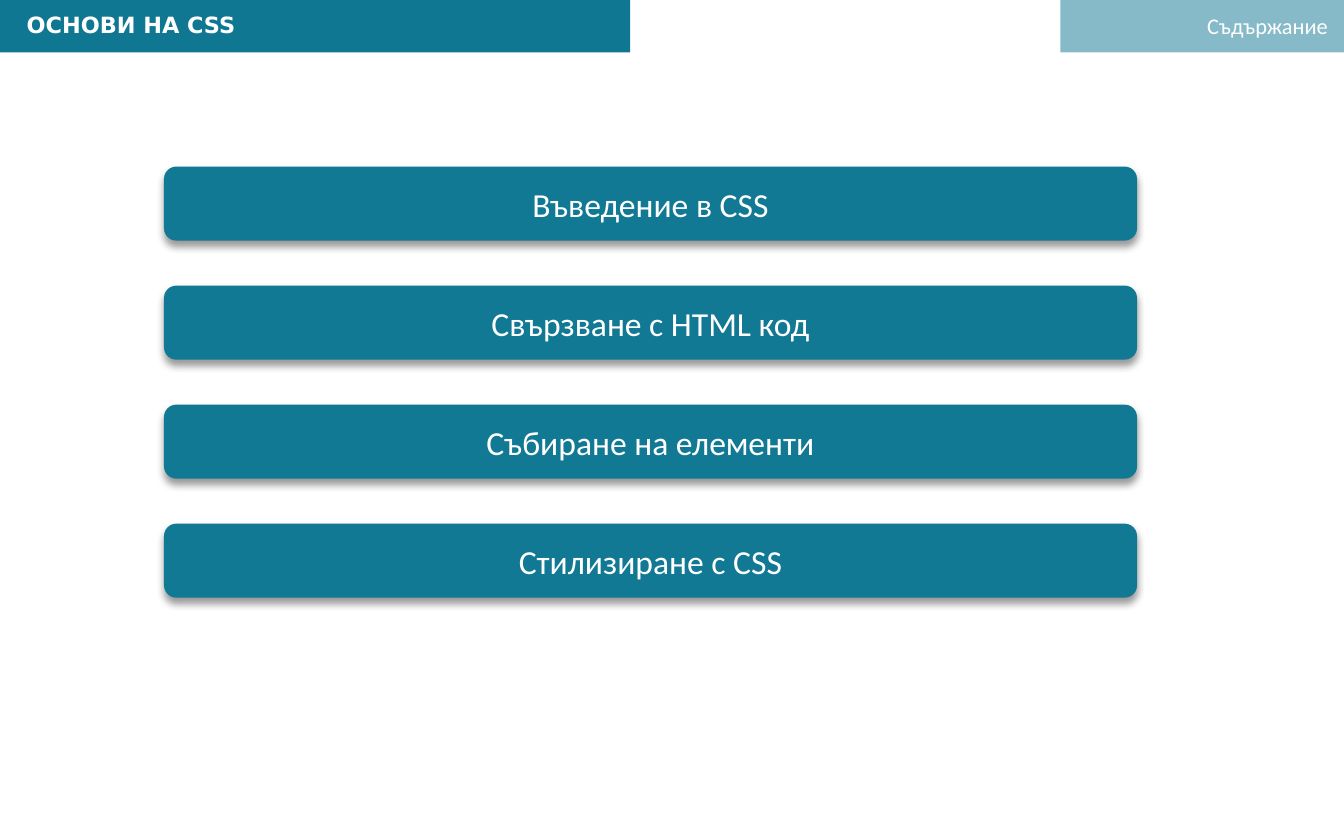
from lxml.etree import SubElement
from pptx import Presentation
from pptx.dml.color import RGBColor
from pptx.enum.shapes import MSO_SHAPE
from pptx.enum.text import MSO_ANCHOR, MSO_AUTO_SIZE, PP_ALIGN
from pptx.oxml.ns import qn
from pptx.util import Cm, Pt

COLORS = {"bar": "0F7792", "button": "127994", "text": "FFFFFF", "shadow": "000000"}
TITLE_FONT = {"name": "DejaVu Sans", "size": Pt(12), "bold": True}
LABEL_FONT = {"name": "Calibri", "size": Pt(12), "bold": False}
BUTTON_FONT = {"name": "Calibri", "size": Pt(18), "bold": False}
TOPICS = [
    "Въведение в CSS",
    "Свързване с HTML код",
    "Събиране на елементи",
    "Стилизиране с CSS",
]


def set_alpha(color_element, percent):
    SubElement(color_element, qn("a:alpha"), val=str(percent * 1000))


def place(shape, left, top, width, height):
    box = {"left": left, "top": top, "width": width, "height": height}
    for name, value in box.items():
        setattr(shape, name, Cm(value))


def add_block(slide, kind, box, color):
    shape = slide.shapes.add_shape(kind, *map(Cm, box))
    shape.shadow.inherit = False
    shape.fill.solid()
    shape.fill.fore_color.rgb = RGBColor.from_string(COLORS[color])
    shape.line.fill.background()
    return shape


def write(shape, text, font_format, **frame_format):
    alignment = frame_format.pop("alignment")
    frame = shape.text_frame
    for name, value in frame_format.items():
        setattr(frame, name, value)
    frame.text = text
    paragraph = frame.paragraphs[0]
    paragraph.alignment = alignment
    font = paragraph.runs[0].font
    for name, value in font_format.items():
        setattr(font, name, value)
    font.color.rgb = RGBColor.from_string(COLORS["text"])


def add_shadow(shape):
    effects = shape._element.spPr.find(qn("a:effectLst"))
    shadow = SubElement(
        effects, qn("a:outerShdw"), blurRad=str(Pt(4)), dist=str(Pt(3)),
        dir=str(90 * 60000), algn="ctr", rotWithShape="0",
    )
    set_alpha(SubElement(shadow, qn("a:srgbClr"), val=COLORS["shadow"]), 40)


def add_section_label(slide, left, top, width, height, text):
    bar = add_block(slide, MSO_SHAPE.RECTANGLE, (left, top, width, height), "bar")
    set_alpha(bar._element.spPr.find(qn("a:solidFill"))[0], 50)
    label_width = 2.82
    label_left = left + width - label_width - 0.05
    label = slide.shapes.add_textbox(*map(Cm, (label_left, top + 0.1, label_width, 0.76)))
    write(label, text, LABEL_FONT, alignment=PP_ALIGN.RIGHT,
          word_wrap=False, auto_size=MSO_AUTO_SIZE.SHAPE_TO_FIT_TEXT)


def add_title_bar(slide, left, top, width, height, text):
    add_block(slide, MSO_SHAPE.RECTANGLE, (left, top, width, height), "bar")
    title = slide.shapes.title
    slide.shapes._spTree.append(title._element)
    place(title, left + 0.25, top + 0.08, width - 0.45, 0.76)
    write(title, text, TITLE_FONT, alignment=PP_ALIGN.LEFT, word_wrap=True,
          vertical_anchor=MSO_ANCHOR.TOP, auto_size=MSO_AUTO_SIZE.SHAPE_TO_FIT_TEXT)


def add_topic_buttons(slide, left, top, width, height, topics):
    button_height = 1.4
    pitch = (height - button_height) / (len(topics) - 1)
    for index, topic in enumerate(topics):
        box = (left, top + index * pitch, width, button_height)
        button = add_block(slide, MSO_SHAPE.ROUNDED_RECTANGLE, box, "button")
        add_shadow(button)
        write(button, topic, BUTTON_FONT, alignment=PP_ALIGN.CENTER,
              word_wrap=True, vertical_anchor=MSO_ANCHOR.MIDDLE)


def main():
    presentation = Presentation()
    presentation.slide_width = Cm(25.4)
    presentation.slide_height = Cm(15.88)
    slide = presentation.slides.add_slide(presentation.slide_layouts.get_by_name("Title Only"))
    add_section_label(slide, 20.04, 0, 5.36, 0.99, "Съдържание")
    add_title_bar(slide, 0, 0, 11.91, 0.99, "ОСНОВИ НА CSS")
    add_topic_buttons(slide, 3.1, 3.15, 18.39, 8.15, TOPICS)
    presentation.save("out.pptx")


if __name__ == "__main__":
    main()
